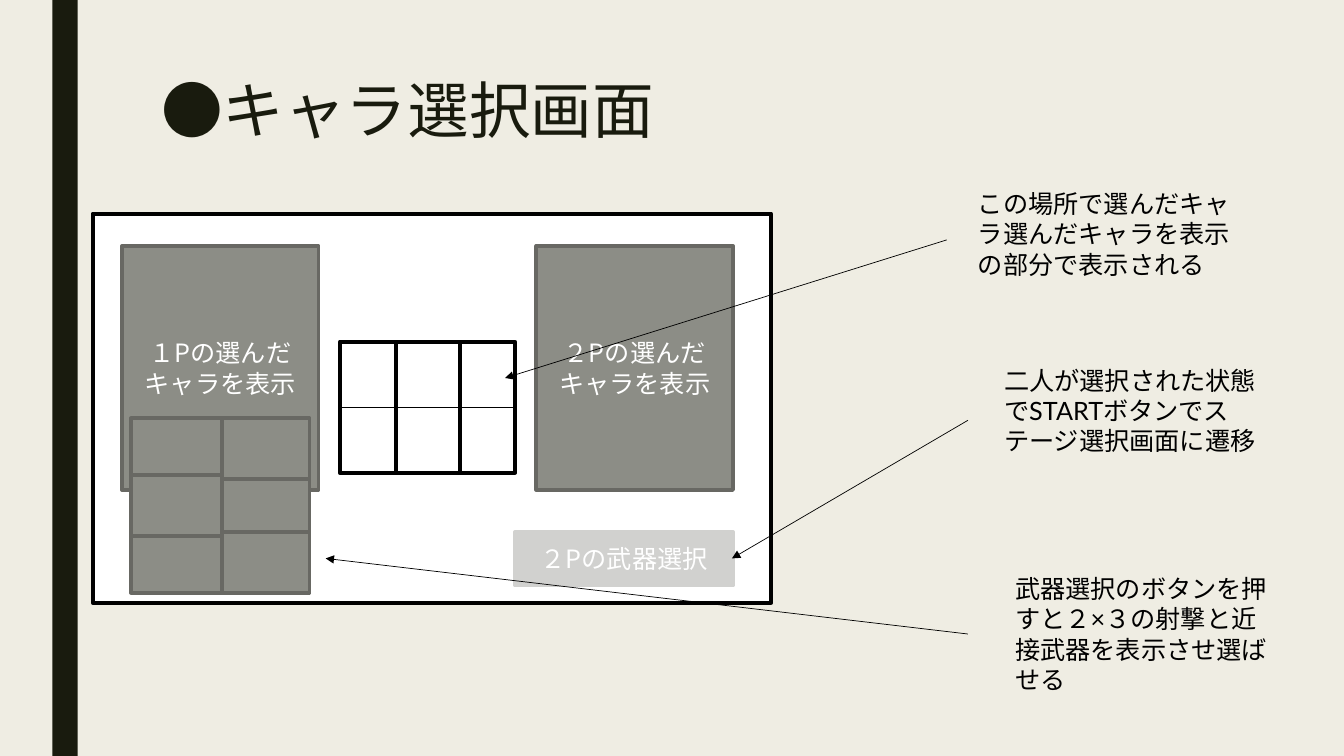
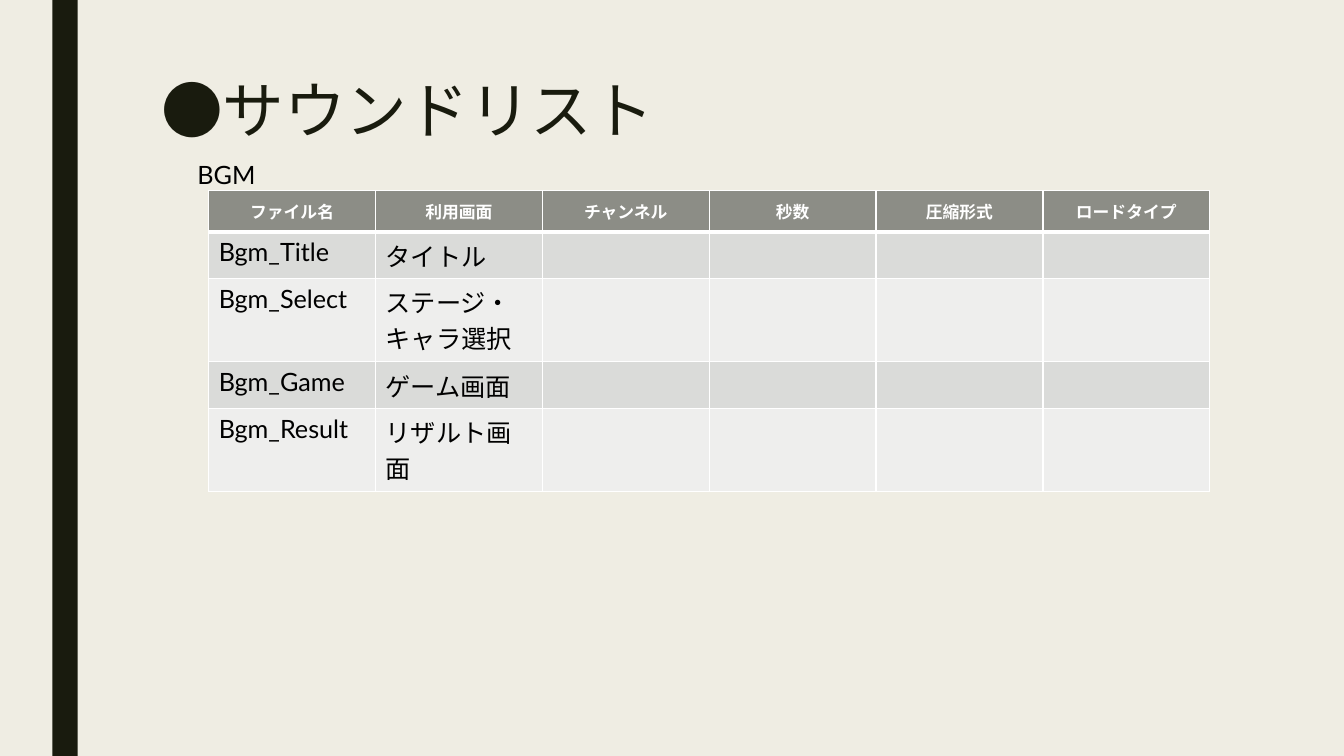
from pptx import Presentation
from pptx.dml.color import RGBColor
from pptx.enum import shapes as es, text as et
from pptx.oxml import parse_xml
from pptx.oxml.ns import nsdecls, qn
from pptx.util import Inches, Pt
from lxml import etree

# Content
HUE = {"back": "EFEDE3", "dark": "191B0E", "black": "000000", "white": "FFFFFF",
       "gray": "8C8D86", "edge": "686863", "pale": "D1D1CF",
       "odd": "DADBD9", "even": "EEEEED"}
LATIN, ASIAN = "Lato", "Noto Sans CJK JP"

SCREEN = (0.92, 2.12, 6.73, 3.86)
PICKER = (3.37, 3.39, 1.74, 1.3)
MIDDLE = (3.93, 3.39, 0.63, 1.3)
PLAYERS = [("１Pの選んだキャラを表示", 1.21), ("２Pの選んだキャラを表示", 5.32)]
WEAPON = ("２Pの武器選択", (5.11, 5.28, 2.16, 0.53))
# Weapon buttons as (column, row), from back to front
BUTTONS = [(1, 1), (1, 2), (1, 0), (0, 2), (0, 0), (0, 1)]
# Note text, its box, arrow start, arrow end
NOTES = [
    ("二人が選択された状態でSTARTボタンでステージ選択画面に遷移",
     (9.86, 3.57, 2.9, 1.01), (9.6, 4.17), (7.26, 5.54)),
    ("この場所で選んだキャラ選んだキャラを表示の部分で表示される",
     (9.6, 1.82, 2.82, 1.01), (9.39, 2.38), (5.01, 3.75)),
    ("武器選択のボタンを押すと２×３の射撃と近接武器を表示させ選ばせる",
     (9.97, 5.64, 2.84, 1.31), (9.6, 6.29), (3.23, 5.54)),
]
HEAD = ["ファイル名", "利用画面", "チャンネル", "秒数", "圧縮形式", "ロードタイプ"]
SOUNDS = [("Bgm_Title", "タイトル"), ("Bgm_Select", "ステージ・キャラ選択"),
          ("Bgm_Game", "ゲーム画面"), ("Bgm_Result", "リザルト画面")]
# Row heights: heading, then one or two lines of text
ONE, TWO = 0.46, 0.83
TALL = [0.41, ONE, TWO, ONE, TWO]


# Helpers
def rgb(name):
    return RGBColor.from_string(HUE[name])


def place(box):
    return [Inches(v) for v in box]


def write(frame, words, size=18, hue="black", font=LATIN, bold=False, center=False):
    frame.text = words
    para = frame.paragraphs[0]
    para.alignment = et.PP_ALIGN.CENTER if center else et.PP_ALIGN.LEFT
    for run in para.runs:
        face = run.font
        face.size, face.bold, face.name = Pt(size), bold, font
        face.color.rgb = rgb(hue)
        etree.SubElement(run._r.get_or_add_rPr(), qn("a:ea"), typeface=ASIAN)
    return para


def rect(slide, box, fill, edge=None, words=""):
    shape = slide.shapes.add_shape(es.MSO_SHAPE.RECTANGLE, *place(box))
    shape.shadow.inherit = False
    shape.fill.solid()
    shape.fill.fore_color.rgb = rgb(fill)
    if edge:
        shape.line.color.rgb = rgb(edge)
        shape.line.width = Pt(2.75)
    else:
        shape.line.fill.background()
    if words:
        frame = shape.text_frame
        frame.word_wrap = True
        frame.vertical_anchor = et.MSO_ANCHOR.MIDDLE
        write(frame, words, hue="white", font=ASIAN, center=True)


def label(slide, box, words, **style):
    frame = slide.shapes.add_textbox(*place(box)).text_frame
    frame.word_wrap = True
    return write(frame, words, **style)


def line(slide, start, end, arrow=False):
    link = slide.shapes.add_connector(es.MSO_CONNECTOR.STRAIGHT, *place(start + end))
    link.line.color.rgb = rgb("black")
    link.line.width = Pt(0.5)
    if arrow:
        etree.SubElement(link.line._get_or_add_ln(), qn("a:tailEnd"), type="triangle")
    etree.SubElement(link._element.spPr, qn("a:effectLst"))


def border(cell, head):
    props = cell._tc.get_or_add_tcPr()
    for spot, side in enumerate(("lnL", "lnR", "lnT", "lnB")):
        wide = Pt(3 if head and side == "lnB" else 1)
        props.insert(spot, parse_xml(
            f'<a:{side} {nsdecls("a")} w="{wide}"><a:solidFill>'
            f'<a:srgbClr val="{HUE["white"]}"/></a:solidFill></a:{side}>'))


def page(title):
    slide = deck.slides.add_slide(deck.slide_layouts[6])
    rect(slide, (0.52, 0, 0.25, 7.5), "dark")
    label(slide, (1.5, 0.75, 10.5, 1.62), title, size=44, hue="dark").line_spacing = 0.89
    return slide


deck = Presentation()
deck.slide_width, deck.slide_height = Inches(13.33), Inches(7.5)
back = deck.slide_master.background.fill
back.solid()
back.fore_color.rgb = rgb("back")

# Character selection
slide = page("●キャラ選択画面")
for box in (SCREEN, PICKER, MIDDLE):
    rect(slide, box, "white", "black")
left, top, width, height = PICKER
half = top + height / 2
line(slide, (left, half), (left + width, half))
for words, x in PLAYERS:
    rect(slide, (x, 2.44, 1.95, 2.42), "gray", "edge", words)
rect(slide, WEAPON[1], "pale", "pale", WEAPON[0])
for col, row in BUTTONS:
    rect(slide, (1.3 + 0.87 * col, 4.15 + 0.565 * row, 0.9, 0.6), "gray", "edge")
for words, box, start, end in NOTES:
    line(slide, start, end, arrow=True)
    label(slide, box, words)

# Sound list
slide = page("●サウンドリスト")
rows = [HEAD] + [pair + ("",) * (len(HEAD) - len(pair)) for pair in SOUNDS]
table = slide.shapes.add_table(
    len(rows), len(HEAD), *place((2.07, 1.89, 9.93, sum(TALL)))).table
for r, row in enumerate(rows):
    table.rows[r].height = Inches(TALL[r])
    head = r == 0
    for c, words in enumerate(row):
        cell = table.cell(r, c)
        cell.fill.solid()
        cell.fill.fore_color.rgb = rgb("gray" if head else "odd" if r % 2 else "even")
        border(cell, head)
        if head:
            cell.vertical_anchor = et.MSO_ANCHOR.MIDDLE
            write(cell.text_frame, words, 12, "white", bold=True, center=True)
        elif words:
            write(cell.text_frame, words)
label(slide, (1.86, 1.53, 1.11, 0.4), "BGM")

deck.save("out.pptx")
